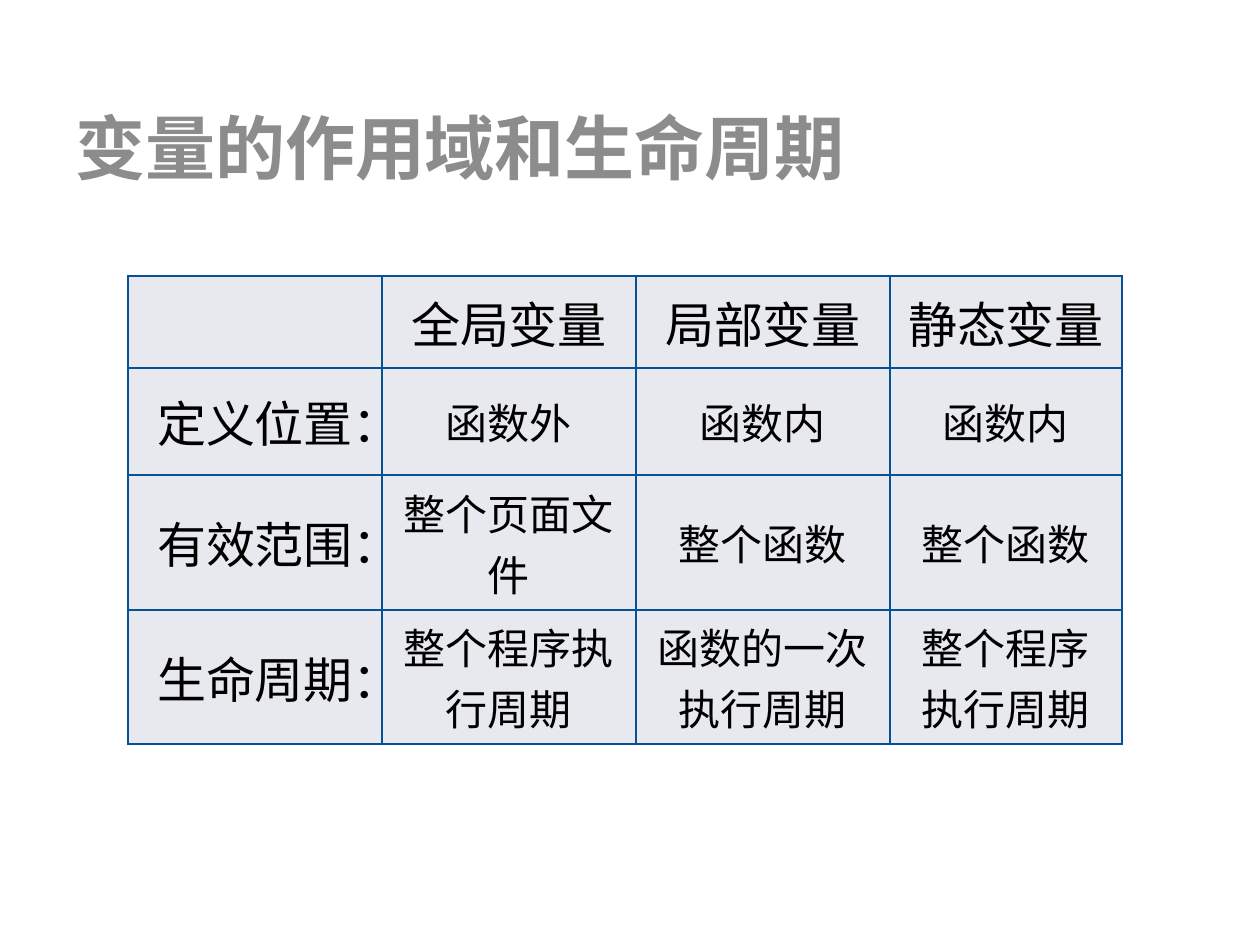
"""Build a slide comparing variable scope and lifetime in a table."""
import pptx
import pptx.dml.color
import pptx.enum.text
import pptx.oxml
import pptx.oxml.ns
import pptx.util

TITLE = "变量的作用域和生命周期"
ROWS = [
    ("", "全局变量", "局部变量", "静态变量"),
    ("定义位置：", "函数外", "函数内", "函数内"),
    ("有效范围：", "整个页面文件", "整个函数", "整个函数"),
    ("生命周期：", "整个程序执行周期", "函数的一次执行周期", "整个程序执行周期"),
]
COLUMN_WIDTHS = (254, 254, 254, 232)
ROW_HEIGHTS = (92, 107, 135, 134)
TITLE_BOX = (63, 98, 1134, 97)
TABLE_LEFT, TABLE_TOP = 128, 276

PX = 914400 // 126
FONT = "Calibri"
GREY = pptx.dml.color.RGBColor(0x8C, 0x8C, 0x8C)
BLACK = pptx.dml.color.RGBColor(0, 0, 0)
PALE = pptx.dml.color.RGBColor(0xE7, 0xE9, 0xEF)
BLUE = pptx.dml.color.RGBColor(0x07, 0x51, 0x98)
ALIGN = pptx.enum.text.PP_ALIGN
MIDDLE = pptx.enum.text.MSO_ANCHOR.MIDDLE


def write(frame, text, size, color=BLACK, bold=False, align=ALIGN.CENTER):
    para = frame.paragraphs[0]
    para.alignment = align
    span = para.add_run()
    span.text = text
    span.font.name = FONT
    span.font.size = pptx.util.Pt(size)
    span.font.bold = bold
    span.font.color.rgb = color


def add_borders(cell):
    properties = cell._tc.get_or_add_tcPr()
    for index, side in enumerate(("lnL", "lnR", "lnT", "lnB")):
        properties.insert(index, pptx.oxml.parse_xml(
            f'<a:{side} {pptx.oxml.ns.nsdecls("a")} w="{pptx.util.Pt(1)}">'
            f'<a:solidFill><a:srgbClr val="{BLUE}"/></a:solidFill></a:{side}>'))


def add_title(page):
    box = page.shapes.add_textbox(*(value * PX for value in TITLE_BOX))
    box.text_frame.word_wrap = True
    box.text_frame.vertical_anchor = MIDDLE
    write(box.text_frame, TITLE, 40, color=GREY, bold=True, align=ALIGN.LEFT)


def add_comparison(page):
    table = page.shapes.add_table(
        len(ROW_HEIGHTS), len(COLUMN_WIDTHS), TABLE_LEFT * PX, TABLE_TOP * PX,
        sum(COLUMN_WIDTHS) * PX, sum(ROW_HEIGHTS) * PX).table
    for column, width in zip(table.columns, COLUMN_WIDTHS):
        column.width = width * PX
    for row, height in zip(table.rows, ROW_HEIGHTS):
        row.height = height * PX
    for r, texts in enumerate(ROWS):
        for c, text in enumerate(texts):
            cell = table.cell(r, c)
            cell.fill.solid()
            cell.fill.fore_color.rgb = PALE
            cell.vertical_anchor = MIDDLE
            add_borders(cell)
            if text:
                write(cell.text_frame, text, 28 if r == 0 or c == 0 else 24)


def main():
    deck = pptx.Presentation()
    deck.slide_width = pptx.util.Inches(10)
    deck.slide_height = pptx.util.Inches(7.5)
    page = deck.slides.add_slide(deck.slide_layouts[6])
    add_title(page)
    add_comparison(page)
    deck.save("out.pptx")


if __name__ == "__main__":
    main()
